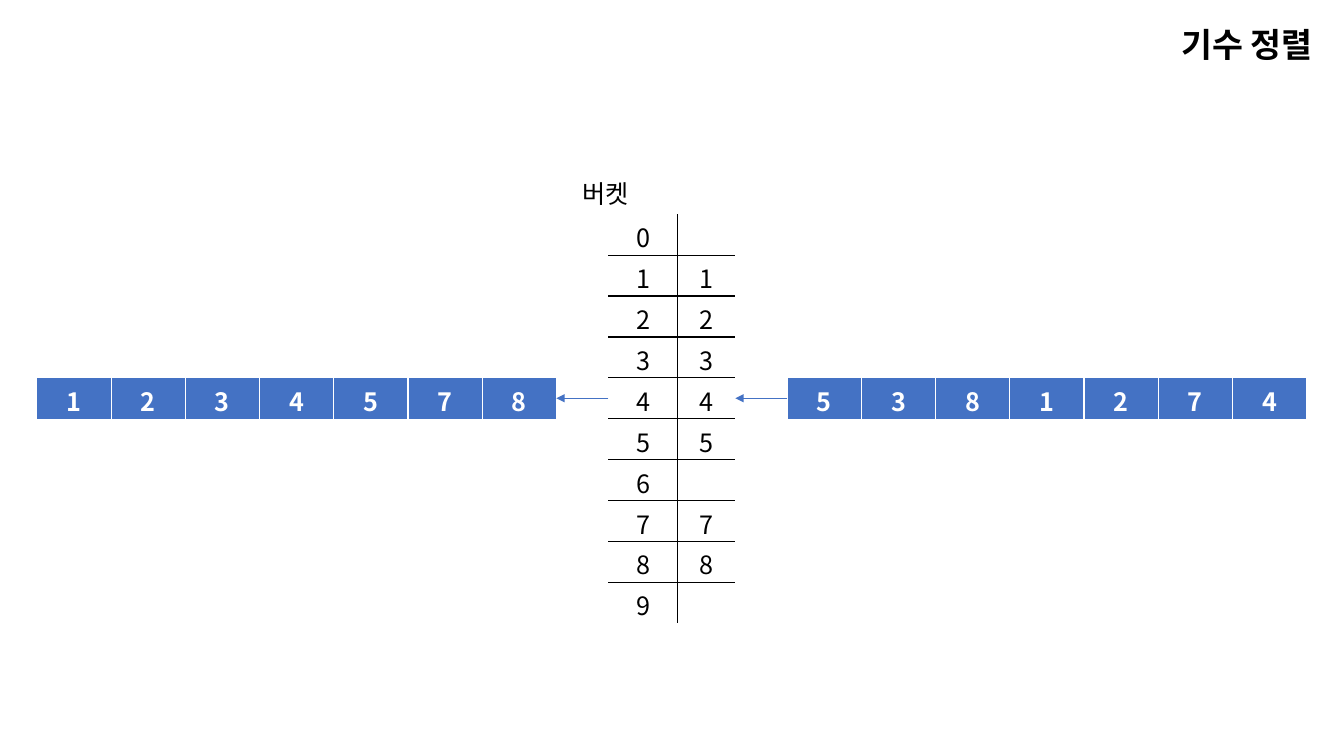
from dataclasses import dataclass

from lxml.etree import SubElement
from pptx import Presentation
from pptx.dml.color import RGBColor as RGB
from pptx.enum.shapes import MSO_CONNECTOR as Conn
from pptx.enum.text import MSO_ANCHOR as Anchor, PP_ALIGN as Align
from pptx.oxml.ns import qn
from pptx.util import Cm, Pt


@dataclass(frozen=True)
class Theme:
    font: str = "Noto Sans CJK KR"
    black: str = "000000"
    white: str = "FFFFFF"
    blue: str = "4472C4"
    title: int = 24
    body: int = 18
    border: float = 1
    arrow: float = 0.5


T = Theme()
ROW_H = 1.03
CELL_W = 1.87
BUCKET_COLS = (1.75, 1.45)
BUCKET_X, BUCKET_Y = 15.33, 5.4
ARRAY_Y = 9.52
SORTED_X, INPUT_X = 0.93, 19.84
INPUT = [5, 3, 8, 1, 2, 7, 4]


def format_text(tf, size, color, bold=False, align=Align.LEFT):
    for p in tf.paragraphs:
        p.alignment = align
        for r in p.runs:
            r.font.name = T.font
            r.font.size = Pt(size)
            r.font.bold = bold
            r.font.color.rgb = RGB.from_string(color)
            SubElement(r.font._element, qn("a:ea"), typeface=T.font)


def add_title(s, text, x, y, w, h):
    sp = s.shapes.title
    sp.left, sp.top, sp.width, sp.height = Cm(x), Cm(y), Cm(w), Cm(h)
    tf = sp.text_frame
    tf.text = text
    tf.vertical_anchor = Anchor.MIDDLE
    format_text(tf, T.title, T.black, True, Align.RIGHT)


def add_label(s, text, x, y, w, h):
    tf = s.shapes.add_textbox(Cm(x), Cm(y), Cm(w), Cm(h)).text_frame
    tf.text = text
    tf.word_wrap = False
    tf.vertical_anchor = Anchor.MIDDLE
    format_text(tf, T.body, T.black)


def set_borders(cell, colors):
    tcPr = cell._tc.get_or_add_tcPr()
    for side, color in zip("LRTB", colors):
        ln = SubElement(tcPr, qn(f"a:ln{side}"), w=str(Pt(T.border)))
        if color:
            fill = SubElement(ln, qn("a:solidFill"))
            SubElement(fill, qn("a:srgbClr"), val=color)
        else:
            SubElement(ln, qn("a:noFill"))


def add_grid(s, rows, x, y, widths, color, borders, fill=None, bold=False):
    frame = s.shapes.add_table(len(rows), len(widths), Cm(x), Cm(y),
                               Cm(sum(widths)), Cm(ROW_H * len(rows)))
    table = frame.table
    table.first_row = table.horz_banding = False
    for col, width in zip(table.columns, widths):
        col.width = Cm(width)
    for i, values in enumerate(rows):
        table.rows[i].height = Cm(ROW_H)
        for j, value in enumerate(values):
            cell = table.cell(i, j)
            cell.margin_top, cell.margin_bottom = Cm(0.11), Cm(0)
            set_borders(cell, borders(i, j))
            if fill:
                cell.fill.solid()
                cell.fill.fore_color.rgb = RGB.from_string(fill)
            else:
                cell.fill.background()
            cell.text_frame.text = str(value)
            format_text(cell.text_frame, T.body, color, bold, Align.CENTER)


def add_array(s, values, x):
    add_grid(s, [values], x, ARRAY_Y, [CELL_W] * len(values), T.white,
             lambda i, j: (T.white, T.white, None, None), T.blue, True)


def add_buckets(s, values):
    rows = [(n, n if n in values else "") for n in range(10)]
    last = len(rows) - 1

    def inner_lines(i, j):
        return (T.black if j else None, None if j else T.black,
                T.black if i else None, T.black if i < last else None)

    add_grid(s, rows, BUCKET_X, BUCKET_Y, BUCKET_COLS, T.black, inner_lines)


def add_arrow(s, x1, x2, y):
    c = s.shapes.add_connector(Conn.STRAIGHT, Cm(x1), Cm(y), Cm(x2), Cm(y))
    c.line.color.rgb = RGB.from_string(T.blue)
    c.line.width = Pt(T.arrow)
    SubElement(c.line._get_or_add_ln(), qn("a:tailEnd"), type="triangle")
    SubElement(c._element.spPr, qn("a:effectLst"))


def main():
    prs = Presentation()
    prs.slide_width, prs.slide_height = Cm(33.87), Cm(19.05)
    s = prs.slides.add_slide(prs.slide_layouts[5])
    add_title(s, "기수 정렬", 25.35, 0.48, 7.98, 1.27)
    add_array(s, INPUT, INPUT_X)
    add_buckets(s, INPUT)
    add_array(s, sorted(INPUT), SORTED_X)
    arrow_y = ARRAY_Y + ROW_H / 2
    add_arrow(s, INPUT_X, BUCKET_X + sum(BUCKET_COLS), arrow_y)
    add_arrow(s, BUCKET_X, SORTED_X + CELL_W * len(INPUT), arrow_y)
    add_label(s, "버켓", 14.43, 4.37, 1.8, 1.02)
    prs.save("out.pptx")


main()
